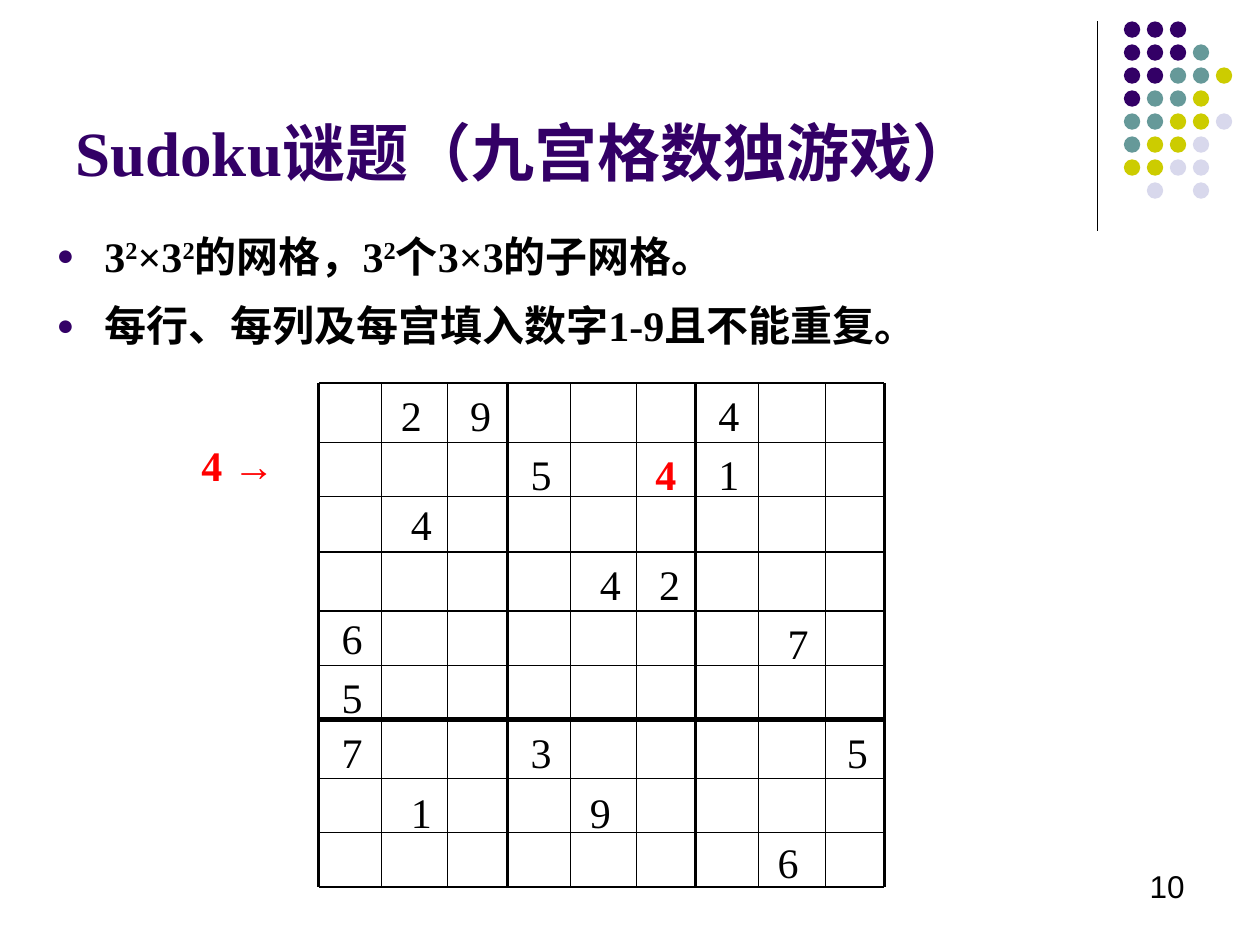
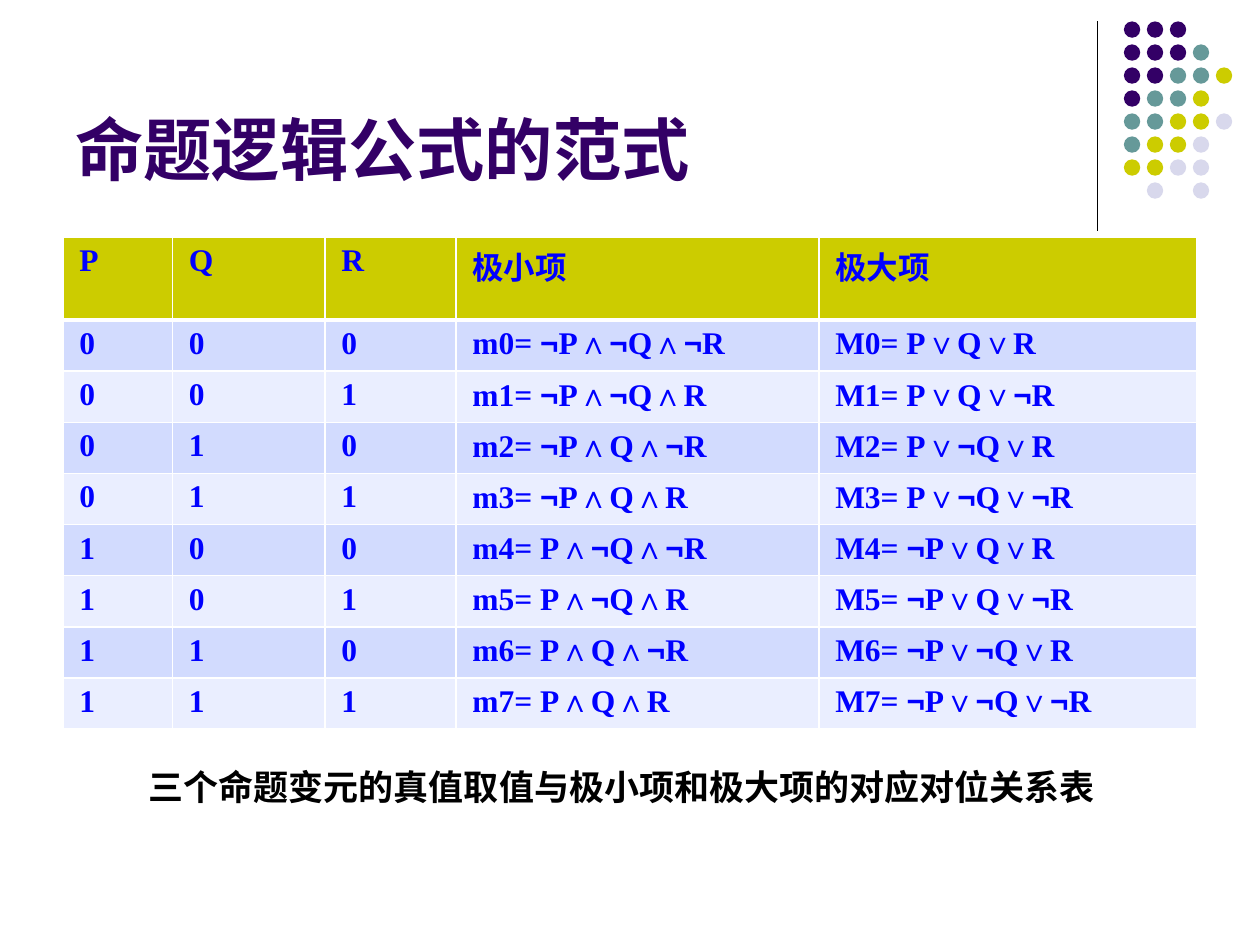
from dataclasses import dataclass
from itertools import product
from typing import NamedTuple

from lxml.etree import SubElement
from pptx import Presentation
from pptx.dml.color import RGBColor
from pptx.enum.shapes import MSO_CONNECTOR, MSO_SHAPE
from pptx.enum.text import MSO_ANCHOR, MSO_AUTO_SIZE, PP_ALIGN
from pptx.oxml.ns import qn
from pptx.slide import Slide
from pptx.table import _Cell
from pptx.text.text import TextFrame, _Paragraph
from pptx.util import Inches, Pt


@dataclass(frozen=True)
class Theme:
    purple: str = "330066"
    teal: str = "669999"
    olive: str = "CCCC00"
    lavender: str = "D8D8EC"
    black: str = "000000"
    white: str = "FFFFFF"
    red: str = "FF0000"
    blue: str = "0000FF"
    band_dark: str = "D2DBFE"
    band_light: str = "EAEEFF"
    serif: str = "Times New Roman"
    sans: str = "Arial"
    chinese: str = "Noto Sans CJK SC"
    puzzle_title: float = 36
    logic_title: float = 39
    body: float = 24
    caption: float = 20
    small: float = 18
    thick: float = 1.5
    thin: float = 0.75


THEME = Theme()


class Box(NamedTuple):
    left: float
    top: float
    width: float
    height: float


class Style(NamedTuple):
    size: float
    color: str = THEME.black
    bold: bool = False


class Piece(NamedTuple):
    text: str
    font: str = THEME.serif
    raised: bool = False


class Digit(NamedTuple):
    text: str
    left: float
    top: float


class Segment(NamedTuple):
    start: tuple[float, float]
    end: tuple[float, float]
    width: float


TITLE_BOX = Box(0.5, 0.13, 8.28, 1.42)
DOT_ROWS = ("PPP", "PPPT", "PPTTY", "PTTY", "TTYYL", "TYYL", "YYLL", " L L")
DOT_COLORS = {"P": THEME.purple, "T": THEME.teal,
              "Y": THEME.olive, "L": THEME.lavender}
DOT_PITCH = 0.73 / 4
DOT_SIZE = 0.13

COLUMN_BANDS = ((2.53, 3.03, 3.55, 4.03), (4.03, 4.53, 5.05, 5.52),
                (5.52, 6.02, 6.55, 7.02))
ROW_BANDS = ((3.04, 3.51, 3.94, 4.38), (4.38, 4.85, 5.28, 5.72),
             (5.7, 6.18, 6.61, 7.04))
DIGIT_SIZE = 0.47
GIVEN_DIGITS = (
    Digit("2", 3.03, 3.04), Digit("9", 3.58, 3.04), Digit("4", 5.55, 3.04),
    Digit("5", 4.06, 3.51), Digit("1", 5.55, 3.51), Digit("4", 3.11, 3.91),
    Digit("4", 4.61, 4.38), Digit("2", 5.08, 4.38), Digit("6", 2.56, 4.81),
    Digit("7", 6.1, 4.85), Digit("5", 2.56, 5.28), Digit("7", 2.56, 5.72),
    Digit("3", 4.06, 5.72), Digit("5", 6.57, 5.72), Digit("1", 3.11, 6.19),
    Digit("9", 4.53, 6.19), Digit("6", 6.02, 6.59),
)
RULES = (
    (Piece("3"), Piece("2", raised=True), Piece("×3"), Piece("2", raised=True),
     Piece("的网格，3"), Piece("2", raised=True), Piece("个3×3的子网格。")),
    (Piece("每行、每列及每宫填入数字1-9且不能重复。"),),
)

TABLE_BOX = Box(0.5, 1.88, 9, 3.91)
COLUMN_WIDTHS = (0.87, 1.21, 1.04, 2.88, 3)
HEADER_HEIGHT = 0.66
ROW_HEIGHT = (TABLE_BOX.height - HEADER_HEIGHT) / 8
HEADINGS = ("P", "Q", "R", "极小项", "极大项")


def rgb(color: str) -> RGBColor:
    return RGBColor.from_string(color)


def inches(box: Box) -> tuple[Inches, ...]:
    return tuple(Inches(length) for length in box)


def add_run(paragraph: _Paragraph, piece: Piece, style: Style) -> None:
    run = paragraph.add_run()
    run.text = piece.text
    run.font.size = Pt(style.size)
    run.font.bold = style.bold
    run.font.color.rgb = rgb(style.color)
    run.font.name = piece.font
    properties = run.font._element
    SubElement(properties, qn("a:ea"), typeface=THEME.chinese)
    if piece.raised:
        properties.set("baseline", "30000")


def add_text_box(slide: Slide, box: Box) -> TextFrame:
    frame = slide.shapes.add_textbox(*inches(box)).text_frame
    frame.word_wrap = True
    return frame


def add_line(slide: Slide, segment: Segment) -> None:
    points = (Inches(length) for length in (*segment.start, *segment.end))
    line = slide.shapes.add_connector(MSO_CONNECTOR.STRAIGHT, *points)
    line.line.color.rgb = rgb(THEME.black)
    line.line.width = Pt(segment.width)
    SubElement(line._element.spPr, qn("a:effectLst"))


def add_dots(slide: Slide) -> None:
    for row, marks in enumerate(DOT_ROWS):
        for column, mark in enumerate(marks):
            if mark == " ":
                continue
            box = Box(8.92 + column * DOT_PITCH, 0.17 + row * DOT_PITCH,
                      DOT_SIZE, DOT_SIZE)
            dot = slide.shapes.add_shape(MSO_SHAPE.OVAL, *inches(box))
            dot.shadow.inherit = False
            dot.fill.solid()
            dot.fill.fore_color.rgb = rgb(DOT_COLORS[mark])
            dot.line.fill.background()


def add_slide(presentation: Presentation, size: float, *pieces: Piece) -> Slide:
    slide = presentation.slides.add_slide(presentation.slide_layouts[6])
    slide.background.fill.solid()
    slide.background.fill.fore_color.rgb = rgb(THEME.white)
    add_line(slide, Segment((8.71, 0.17), (8.71, 1.83), THEME.thin))
    add_dots(slide)
    frame = add_text_box(slide, TITLE_BOX)
    frame.vertical_anchor = MSO_ANCHOR.BOTTOM
    for piece in pieces:
        add_run(frame.paragraphs[0], piece, Style(size, THEME.purple, True))
    return slide


def add_bullet(paragraph: _Paragraph) -> None:
    properties = paragraph._p.get_or_add_pPr()
    properties.set("marL", str(Inches(0.38)))
    properties.set("indent", str(-Inches(0.38)))
    paragraph.line_spacing = 1.2
    paragraph.space_before = Pt(5)
    color = SubElement(properties, qn("a:buClr"))
    SubElement(color, qn("a:srgbClr"), val=THEME.purple)
    SubElement(properties, qn("a:buSzPct"), val="70000")
    SubElement(properties, qn("a:buFont"), typeface=THEME.sans)
    SubElement(properties, qn("a:buChar"), char="●")


def add_rules(slide: Slide) -> None:
    frame = add_text_box(slide, Box(0.35, 1.7, 9.21, 1.1))
    for index, pieces in enumerate(RULES):
        paragraph = frame.add_paragraph() if index else frame.paragraphs[0]
        add_bullet(paragraph)
        for piece in pieces:
            add_run(paragraph, piece, Style(THEME.body, bold=True))


def grid_segments() -> set[Segment]:
    segments = set()
    for rows, columns in product(ROW_BANDS, COLUMN_BANDS):
        for index, (x, y) in enumerate(zip(columns, rows)):
            width = THEME.thick if index in (0, 3) else THEME.thin
            segments.add(Segment((columns[0], y), (columns[-1], y), width))
            segments.add(Segment((x, rows[0]), (x, rows[-1]), width))
    return segments


def add_label(slide: Slide, text: str, box: Box, style: Style) -> None:
    label = slide.shapes.add_shape(MSO_SHAPE.RECTANGULAR_CALLOUT, *inches(box))
    label.shadow.inherit = False
    label.fill.background()
    label.line.fill.background()
    frame = label.text_frame
    frame.word_wrap = False
    frame.vertical_anchor = MSO_ANCHOR.TOP
    frame.paragraphs[0].alignment = PP_ALIGN.CENTER
    add_run(frame.paragraphs[0], Piece(text), style)


def build_puzzle(presentation: Presentation) -> None:
    slide = add_slide(presentation, THEME.puzzle_title,
                      Piece("Sudoku谜题（九宫格"),
                      Piece("数独游戏", THEME.sans), Piece("）"))
    add_rules(slide)
    for segment in sorted(grid_segments()):
        add_line(slide, segment)
    for digit in GIVEN_DIGITS:
        box = Box(digit.left, digit.top, DIGIT_SIZE, DIGIT_SIZE)
        add_label(slide, digit.text, box, Style(THEME.body))
    found = Style(THEME.body, THEME.red, True)
    add_label(slide, "4 →", Box(1.3, 3.44, 1.18, DIGIT_SIZE), found)
    add_label(slide, "4", Box(5.05, 3.51, DIGIT_SIZE, DIGIT_SIZE), found)
    number = add_text_box(slide, Box(7.17, 6.83, 2.33, 0.5)).paragraphs[0]
    number.alignment = PP_ALIGN.RIGHT
    add_run(number, Piece("10", THEME.sans), Style(THEME.small))


def term(name: str, bits: tuple[int, ...], joiner: str, negated: int) -> str:
    literals = ("¬" * (bit == negated) + variable
                for variable, bit in zip("PQR", bits))
    return f"{name}= {joiner.join(literals)}"


def truth_rows() -> list[tuple[str, ...]]:
    rows = [HEADINGS]
    for index, bits in enumerate(product((0, 1), repeat=3)):
        rows.append((*map(str, bits), term(f"m{index}", bits, "∧", 0),
                     term(f"M{index}", bits, "∨", 1)))
    return rows


def add_borders(cell: _Cell, top: float, bottom: float) -> None:
    properties = cell._tc.get_or_add_tcPr()
    sides = (("a:lnL", 1), ("a:lnR", 1), ("a:lnT", top), ("a:lnB", bottom))
    for position, (tag, width) in enumerate(sides):
        border = SubElement(properties, qn(tag), w=str(Pt(width)))
        fill = SubElement(border, qn("a:solidFill"))
        SubElement(fill, qn("a:srgbClr"), val=THEME.white)
        properties.insert(position, border)


def fill_cell(cell: _Cell, text: str, row: int) -> None:
    bands = (THEME.band_light, THEME.band_dark)
    cell.fill.solid()
    cell.fill.fore_color.rgb = rgb(bands[row % 2] if row else THEME.olive)
    cell.margin_left = cell.margin_right = Inches(0.13)
    cell.margin_top = cell.margin_bottom = Inches(0.05)
    add_borders(cell, 3 if row == 1 else 1, 3 if row == 0 else 1)
    paragraph = cell.text_frame.paragraphs[0]
    style = Style(THEME.small, THEME.blue, True)
    for index, part in enumerate(text.split("¬")):
        if index:
            add_run(paragraph, Piece("¬", THEME.sans), style)
        add_run(paragraph, Piece(part), style)


def build_normal_forms(presentation: Presentation) -> None:
    slide = add_slide(presentation, THEME.logic_title,
                      Piece("命题逻辑公式的范式", THEME.sans))
    rows = truth_rows()
    table = slide.shapes.add_table(len(rows), len(HEADINGS),
                                   *inches(TABLE_BOX)).table
    for column, width in zip(table.columns, COLUMN_WIDTHS):
        column.width = Inches(width)
    for index, texts in enumerate(rows):
        table.rows[index].height = Inches(ROW_HEIGHT if index else HEADER_HEIGHT)
        for column, text in enumerate(texts):
            fill_cell(table.cell(index, column), text, index)
    frame = add_text_box(slide, Box(1.08, 6.03, 7.89, 0.44))
    frame.auto_size = MSO_AUTO_SIZE.SHAPE_TO_FIT_TEXT
    add_run(frame.paragraphs[0],
            Piece("三个命题变元的真值取值与极小项和极大项的对应对位关系表", THEME.chinese),
            Style(THEME.caption, bold=True))


presentation = Presentation()
presentation.slide_width = Inches(10)
presentation.slide_height = Inches(7.5)
build_puzzle(presentation)
build_normal_forms(presentation)
presentation.save("out.pptx")
